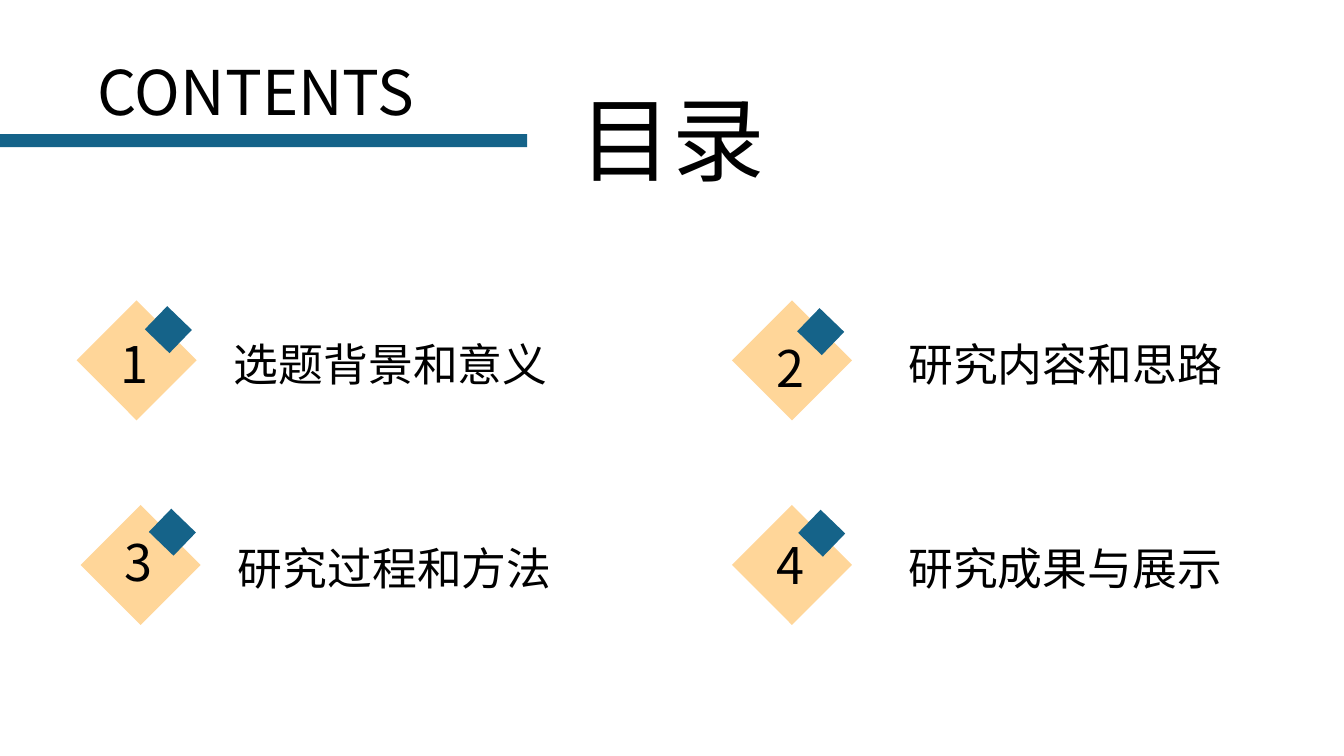
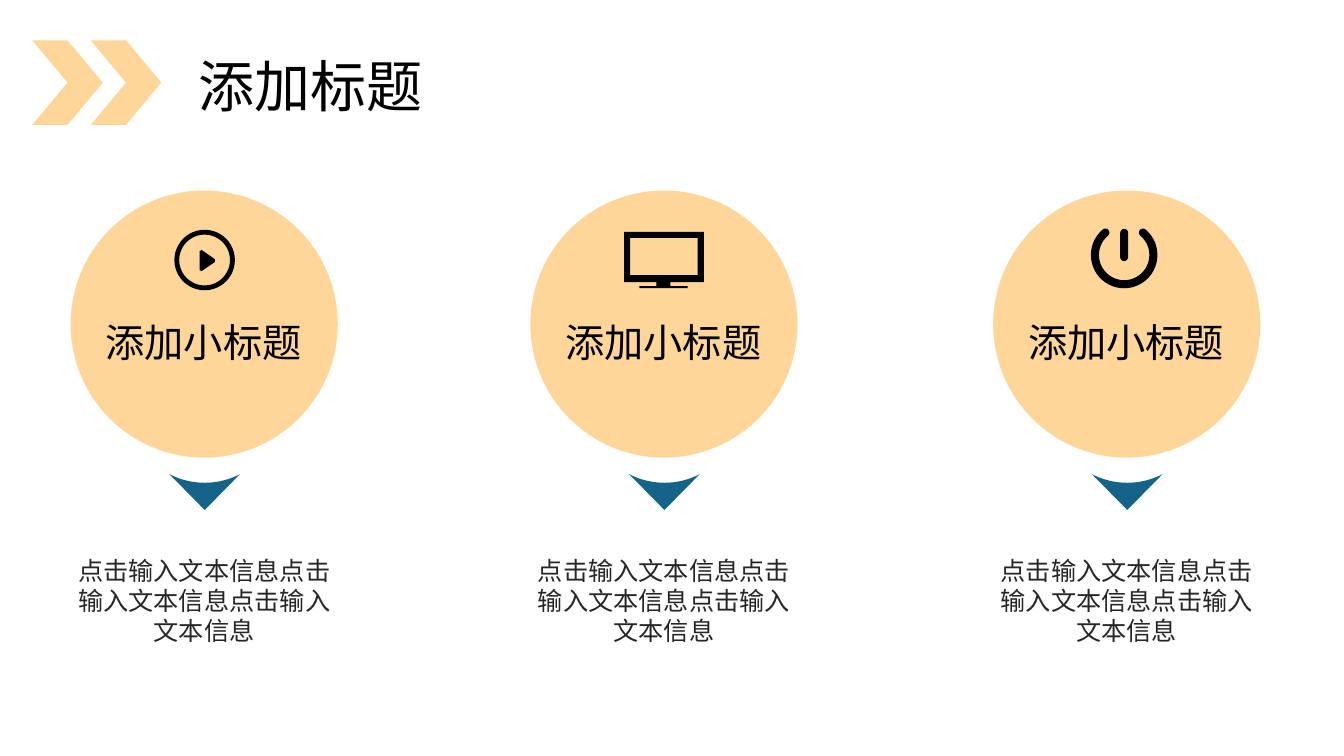
from dataclasses import dataclass
from math import cos, radians, sin

from lxml import etree
from pptx import Presentation
from pptx.dml.color import RGBColor
from pptx.enum.shapes import MSO_SHAPE
from pptx.enum.text import MSO_ANCHOR, MSO_AUTO_SIZE, PP_ALIGN
from pptx.oxml.ns import qn
from pptx.util import Inches, Pt

RECT, DIAMOND = MSO_SHAPE.RECTANGLE, MSO_SHAPE.DIAMOND
OVAL, DONUT, CHEVRON = MSO_SHAPE.OVAL, MSO_SHAPE.DONUT, MSO_SHAPE.CHEVRON
PILL = MSO_SHAPE.ROUNDED_RECTANGLE
TOP, FIT = MSO_ANCHOR.TOP, MSO_AUTO_SIZE.SHAPE_TO_FIT_TEXT
LEFT, CENTER = PP_ALIGN.LEFT, PP_ALIGN.CENTER
TITLE_ONLY = 5


@dataclass(frozen=True)
class Theme:
    """Colours, type face and type sizes of the deck."""
    blue: str = "156389"
    sand: str = "FFD699"
    black: str = "000000"
    gray: str = "262626"
    white: str = "FFFFFF"
    face: str = "Noto Sans CJK SC"
    hero: int = 66
    banner: int = 44
    title: int = 40
    number: int = 36
    item: int = 32
    label: int = 28
    body: int = 18


THEME = Theme()


def paint(shape, color):
    """Give a shape a flat fill without line or shadow."""
    shape.shadow.inherit = False
    shape.fill.solid()
    shape.fill.fore_color.rgb = RGBColor.from_string(color)
    shape.line.fill.background()
    return shape


def add_part(slide, kind, box, color):
    """Add a flat preset shape in a box given in inches."""
    return paint(slide.shapes.add_shape(kind, *map(Inches, box)), color)


def add_path(slide, left, top, rings, color):
    """Add a flat outline from rings of points relative to left and top."""
    rings = [[(Inches(left + x), Inches(top + y)) for x, y in ring] for ring in rings]
    path = slide.shapes.build_freeform(*rings[0][0])
    path.add_line_segments(rings[0][1:])
    for ring in rings[1:]:
        path.move_to(*ring[0])
        path.add_line_segments(ring[1:])
    return paint(path.convert_to_shape(), color)


def write(shape, text, size, color=THEME.black, align=LEFT, wrap=False):
    """Fill a text shape with one styled paragraph."""
    frame = shape.text_frame
    frame.text = text
    frame.word_wrap, frame.auto_size = wrap, FIT
    frame.vertical_anchor = TOP
    para = frame.paragraphs[0]
    para.alignment = align
    font = para.font
    font.name, font.size = THEME.face, Pt(size)
    font.color.rgb = RGBColor.from_string(color)
    props = para._p.find(".//" + qn("a:defRPr"))
    etree.SubElement(props, qn("a:ea"), typeface=THEME.face)


def add_text(slide, box, text, size, **style):
    """Add a text box in a box given in inches."""
    write(slide.shapes.add_textbox(*map(Inches, box)), text, size, **style)


def add_slide(deck, box, text, size):
    """Add a white slide with its title placed in a box."""
    slide = deck.slides.add_slide(deck.slide_layouts[TITLE_ONLY])
    fill = slide.background.fill
    fill.solid()
    fill.fore_color.rgb = RGBColor.from_string(THEME.white)
    title = slide.shapes.title
    title.left, title.top, title.width, title.height = map(Inches, box)
    write(title, text, size, wrap=True)
    return slide


def arc(x, y, radius, start, end, steps=40):
    """List points on an arc, in degrees clockwise from the right."""
    turns = [radians(start + (end - start) * i / steps) for i in range(steps + 1)]
    return [(x + radius * cos(t), y + radius * sin(t)) for t in turns]


def draw_banner(slide, left, top):
    """Draw the heading with the bar below it."""
    add_part(slide, RECT, (left, top + 0.84, 5.23, 0.13), THEME.blue)
    add_text(slide, (left + 0.87, top, 3.49, 0.84), "CONTENTS", THEME.banner)


def draw_item(slide, left, top, number, text, drop, chip, indent):
    """Draw a numbered diamond with its small chip and its text."""
    add_part(slide, DIAMOND, (left, top, 1.19, 1.19), THEME.sand)
    add_text(slide, (left + 0.34, top + drop, 0.5, 0.71), str(number), THEME.number)
    mark = add_part(slide, RECT, (left + chip[0], top + chip[1], 0.34, 0.32), THEME.blue)
    mark.rotation = 44
    add_text(slide, (left + indent, top + 0.31, 3.43, 0.64), text, THEME.item, wrap=True)


def draw_play(slide, left, top):
    """Draw a ringed play sign."""
    ring = add_part(slide, DONUT, (left, top, 0.6, 0.6), THEME.black)
    ring.adjustments[0] = 0.08
    wedge = [(0.25, 0.21), (0.27, 0.2), (0.4, 0.29), (0.4, 0.32), (0.27, 0.41), (0.25, 0.4)]
    add_path(slide, left, top, [wedge], THEME.black)


def draw_screen(slide, left, top):
    """Draw a screen on a stand."""
    outer = [(0, 0), (0.79, 0), (0.79, 0.5), (0.46, 0.5), (0.46, 0.54), (0.63, 0.54),
             (0.63, 0.56), (0.15, 0.56), (0.15, 0.54), (0.32, 0.54), (0.32, 0.5), (0, 0.5), (0, 0)]
    inner = [(0.06, 0.06), (0.06, 0.43), (0.73, 0.43), (0.73, 0.06), (0.06, 0.06)]
    add_path(slide, left, top, [outer, inner], THEME.black)


def draw_power(slide, left, top):
    """Draw a power sign: an open ring with round ends and a bar."""
    x, y, start, end = 0.32, 0.26, -50, 230
    radius, half = 0.29, 0.04
    first, last = arc(x, y, radius, start, end, 1)
    ring = (arc(x, y, radius + half, start, end)
            + arc(*last, half, end, end + 180, 8)
            + arc(x, y, radius - half, end, start)
            + arc(*first, half, start + 180, start + 360, 8))
    add_path(slide, left, top, [ring], THEME.black)
    bar = add_part(slide, PILL, (left + x - half, top, 2 * half, 0.32), THEME.black)
    bar.adjustments[0] = 0.5


def draw_card(slide, left, top, icon, spot):
    """Draw a disc with icon and label, a pointer and the text below."""
    add_part(slide, OVAL, (left, top, 2.65, 2.65), THEME.sand)
    icon(slide, left + spot[0], top + spot[1])
    add_text(slide, (left + 0.25, top + 1.22, 2.14, 0.57), "添加小标题", THEME.label)
    brim = arc(0.35, -0.68, 0.76, 117.4, 62.6, 20)
    add_path(slide, left + 0.98, top + 2.82, [brim + [(0.35, 0.35)]], THEME.blue)
    add_text(slide, (left - 0.12, top + 3.57, 2.89, 1.01), "点击输入文本信息" * 3,
             THEME.body, color=THEME.gray, align=CENTER, wrap=True)


def make_contents(deck):
    """Build the contents slide."""
    slide = add_slide(deck, (5.65, 0.76, 2.6, 1.21), "目录", THEME.hero)
    draw_banner(slide, 0, 0.49)
    items = [
        (0.76, 2.98, "选题背景和意义", 0.28, (0.74, 0.13), 1.46),
        (7.26, 2.98, "研究内容和思路", 0.31, (0.71, 0.15), 1.65),
        (0.8, 5.01, "研究过程和方法", 0.21, (0.74, 0.11), 1.46),
        (7.26, 5.01, "研究成果与展示", 0.24, (0.72, 0.12), 1.65),
    ]
    for number, (left, top, *rest) in enumerate(items, 1):
        draw_item(slide, left, top, number, *rest)


def make_cards(deck):
    """Build the slide with three cards."""
    slide = add_slide(deck, (1.87, 0.46, 2.8, 0.77), "添加标题", THEME.title)
    for step in range(2):
        add_part(slide, CHEVRON, (0.32 + 0.58 * step, 0.4, 0.7, 0.84), THEME.sand)
    cards = [(0.7, draw_play, (1.03, 0.39)), (5.26, draw_screen, (0.93, 0.41)),
             (9.85, draw_power, (0.98, 0.38))]
    for left, icon, spot in cards:
        draw_card(slide, left, 1.89, icon, spot)


def main():
    """Build and save the deck."""
    deck = Presentation()
    deck.slide_width, deck.slide_height = Inches(13.33), Inches(7.5)
    make_contents(deck)
    make_cards(deck)
    deck.save("out.pptx")


if __name__ == "__main__":
    main()
